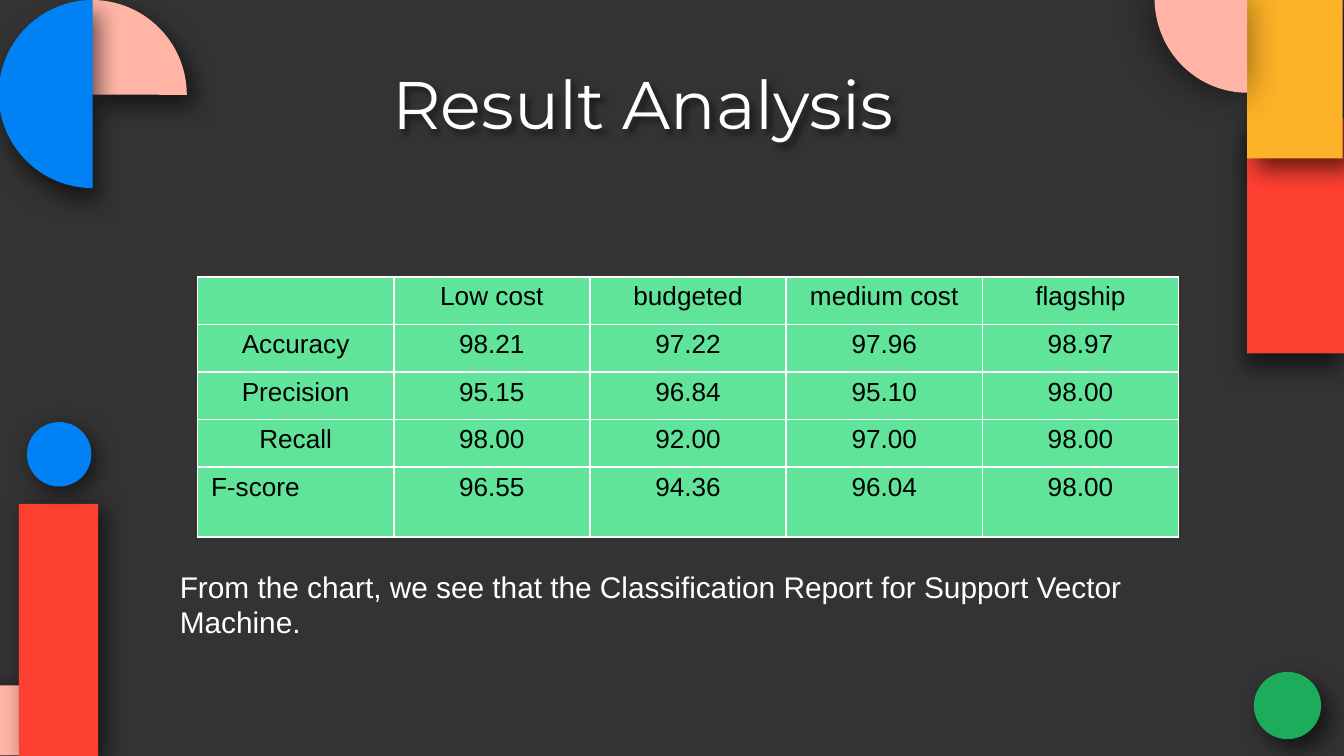
import pptx
import pptx.dml.color
import pptx.enum.shapes
import pptx.enum.text
import pptx.oxml
import pptx.oxml.ns
import pptx.util

Inches, Pt = pptx.util.Inches, pptx.util.Pt
RGBColor = pptx.dml.color.RGBColor
MSO_SHAPE = pptx.enum.shapes.MSO_SHAPE
PP_ALIGN = pptx.enum.text.PP_ALIGN
MSO_ANCHOR = pptx.enum.text.MSO_ANCHOR

CHARCOAL = RGBColor(0x33, 0x33, 0x33)
WHITE = RGBColor(0xFF, 0xFF, 0xFF)
BLACK = RGBColor(0, 0, 0)
PINK = RGBColor(0xFF, 0xB4, 0xA6)
RED = RGBColor(0xFE, 0x40, 0x31)
BLUE = RGBColor(0x00, 0x82, 0xF4)
YELLOW = RGBColor(0xFD, 0xB3, 0x27)
GREEN = RGBColor(0x1D, 0xAC, 0x5C)
MINT = RGBColor(0x60, 0xE4, 0x9A)

TITLE = "Result Analysis"
CONCLUSION = ("From the chart, we see that the Classification Report "
              "for Support Vector Machine.")
SCORES = [
    ["", "Low cost", "budgeted", "medium cost", "flagship"],
    ["Accuracy", "98.21", "97.22", "97.96", "98.97"],
    ["Precision", "95.15", "96.84", "95.10", "98.00"],
    ["Recall", "98.00", "92.00", "97.00", "98.00"],
    ["F-score", "96.55", "94.36", "96.04", "98.00"],
]

# kind, (left, top, width, height), colour,
# (shadow blur, distance, direction), (pie start, pie end) in degrees
RECT, OVAL, PIE = MSO_SHAPE.RECTANGLE, MSO_SHAPE.OVAL, MSO_SHAPE.PIE
DECORATIONS = [
    (RECT, (-0.24, 5.1, 0.59, 0.52), PINK, (12.4, 4.5, 50), ()),
    (RECT, (0.14, 3.75, 0.59, 1.88), RED, (12.4, 4.5, 33), ()),
    (OVAL, (0.2, 3.14, 0.48, 0.48), BLUE, (12.4, 4.5, 50), ()),
    (PIE, (-0.02, 0, 1.41, 1.41), PINK, (12.4, 7.5, 50), (270, 0)),
    (PIE, (-0.01, 0, 1.4, 1.4), BLUE, (12.4, 7.5, 68), (90, 270)),
    (RECT, (9.28, 0.88, 0.72, 1.75), RED, (12.4, 7.5, 101), ()),
    (RECT, (9.28, -0.02, 0.71, 1.2), YELLOW, (12.4, 7.5, 50), ()),
    (OVAL, (9.33, 5, 0.5, 0.5), GREEN, (12.4, 7.5, 50), ()),
    (PIE, (8.59, -0.72, 1.38, 1.41), PINK, (21.4, 2.2, 172), (90, 180)),
]

TABLE_WIDTH, TABLE_HEIGHT, LAST_ROW_HEIGHT = 7.3, 1.77, 0.52


def cast_shadow(shape, blur, distance, direction, opacity=59):
    shape.shadow.inherit = False
    effects = shape._element.spPr.find(pptx.oxml.ns.qn("a:effectLst"))
    effects.append(pptx.oxml.parse_xml(
        f'<a:outerShdw {pptx.oxml.ns.nsdecls("a")} blurRad="{Pt(blur)}" '
        f'dist="{Pt(distance)}" dir="{direction * 60000}" algn="bl" rotWithShape="0">'
        f'<a:srgbClr val="{BLACK}"><a:alpha val="{opacity * 1000}"/></a:srgbClr>'
        '</a:outerShdw>'))


def write(frame, text, size, color, font="Arial", align=PP_ALIGN.LEFT,
          anchor=MSO_ANCHOR.TOP):
    frame.word_wrap = True
    frame.vertical_anchor = anchor
    paragraph = frame.paragraphs[0]
    paragraph.alignment = align
    run = paragraph.add_run()
    run.text = text
    run.font.size = Pt(size)
    run.font.name = font
    run.font.bold = False
    run.font.color.rgb = color


def outline_cell(cell, color, width):
    properties = cell._tc.get_or_add_tcPr()
    for side in ("lnL", "lnR", "lnT", "lnB"):
        properties.append(pptx.oxml.parse_xml(
            f'<a:{side} {pptx.oxml.ns.nsdecls("a")} w="{Pt(width)}">'
            f'<a:solidFill><a:srgbClr val="{color}"/></a:solidFill></a:{side}>'))


def add_decorations(slide):
    for kind, box, color, shadow, angles in DECORATIONS:
        shape = slide.shapes.add_shape(kind, *map(Inches, box))
        for index, angle in enumerate(angles):
            shape.adjustments[index] = angle * 0.6
        shape.fill.solid()
        shape.fill.fore_color.rgb = color
        shape.line.fill.background()
        cast_shadow(shape, *shadow)


def add_scores(slide):
    rows, columns = len(SCORES), len(SCORES[0])
    table = slide.shapes.add_table(
        rows, columns, Inches(1.47), Inches(2.06),
        Inches(TABLE_WIDTH), Inches(TABLE_HEIGHT)).table
    table.first_row = table.horz_banding = False
    table.rows[rows - 1].height = Inches(LAST_ROW_HEIGHT)

    for r, scores in enumerate(SCORES):
        for c, text in enumerate(scores):
            cell = table.cell(r, c)
            outline_cell(cell, WHITE, 1)
            cell.fill.solid()
            cell.fill.fore_color.rgb = MINT
            cell.margin_left = cell.margin_right = Inches(0.1)
            cell.margin_top = cell.margin_bottom = Inches(0.04 if text else 0)
            if text:
                align = PP_ALIGN.LEFT if text == "F-score" else PP_ALIGN.CENTER
                write(cell.text_frame, text, 14, BLACK, align=align)


def main():
    deck = pptx.Presentation()
    deck.slide_width = Inches(10)
    deck.slide_height = deck.slide_width * 9 // 16
    slide = deck.slides.add_slide(deck.slide_layouts[6])
    slide.background.fill.solid()
    slide.background.fill.fore_color.rgb = CHARCOAL

    add_decorations(slide)
    title = slide.shapes.add_textbox(*map(Inches, (2.82, 0.45, 6.39, 0.63)))
    write(title.text_frame, TITLE, 36, WHITE, font="Montserrat",
          anchor=MSO_ANCHOR.MIDDLE)
    cast_shadow(title, 3, 3, 45, opacity=50)
    add_scores(slide)
    conclusion = slide.shapes.add_textbox(*map(Inches, (1.24, 4.18, 7.73, 0.64)))
    write(conclusion.text_frame, CONCLUSION, 16, WHITE)
    deck.save("out.pptx")


if __name__ == "__main__":
    main()
